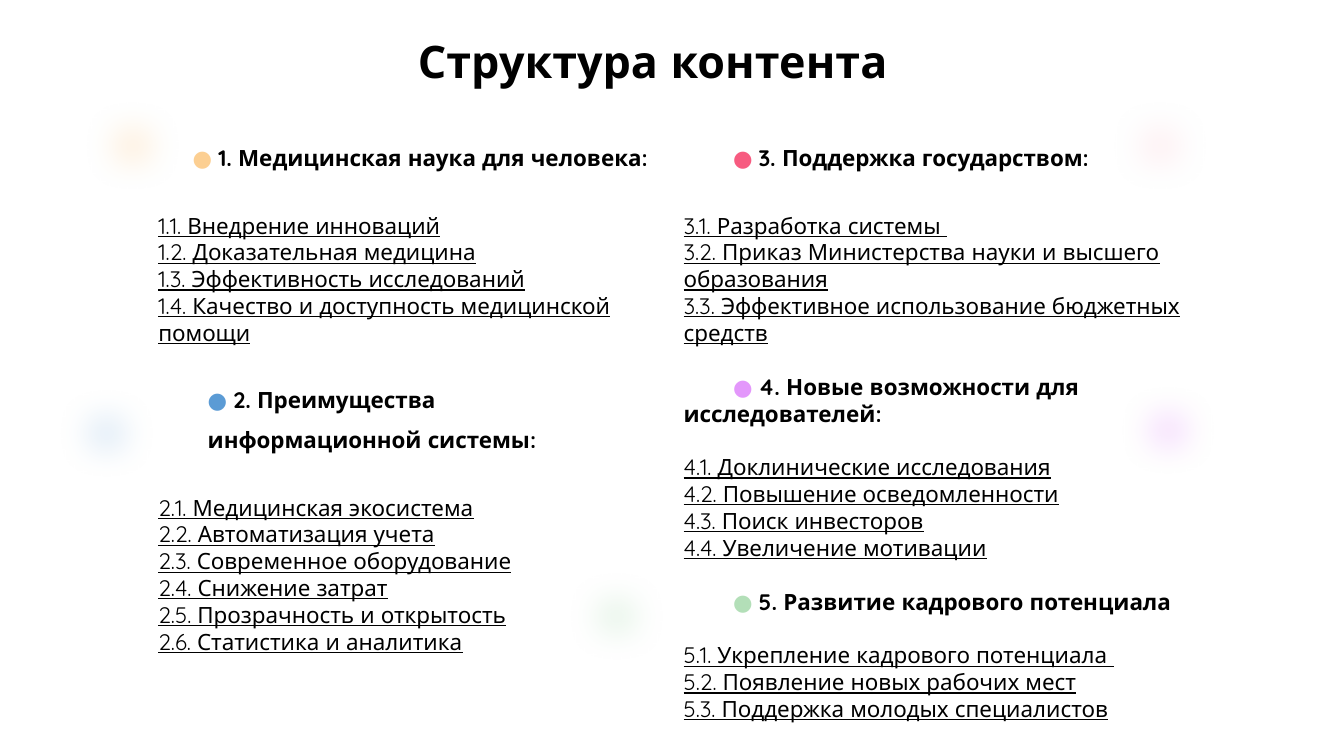
"""Builds the content structure slide with two columns of topics."""
from lxml.etree import SubElement as Sub
from pptx import Presentation
from pptx.dml.color import RGBColor
from pptx.enum.shapes import MSO_SHAPE as Shape
from pptx.enum.text import MSO_ANCHOR as Anchor, MSO_AUTO_SIZE as Auto, PP_ALIGN as Align
from pptx.oxml.ns import qn
from pptx.util import Inches, Pt

LINE = 19.2


def paint(fmt, tone):
    fmt.solid()
    fmt.fore_color.rgb = RGBColor.from_string(tone)


def write(para, text, tone="000000", size=16, bold=False, under=False):
    run = para.add_run()
    run.text = text
    font = run.font
    font.name, font.size = "Quicksand", Pt(size)
    font.bold, font.underline = bold, under
    paint(font.fill, tone)


deck = Presentation()
deck.slide_width, deck.slide_height = Inches(13.33), Inches(7.5)
slide = deck.slides.add_slide(deck.slide_layouts[3])
title, left, right = slide.placeholders

title.left, title.top = Inches(4), Inches(0.28)
title.width, title.height = Inches(4.95), Inches(0.64)
frame = title.text_frame
frame.word_wrap = False
frame.auto_size = Auto.NONE
frame.vertical_anchor = Anchor.TOP
head = frame.paragraphs[0]
head.alignment = Align.CENTER
write(head, "Структура контента", size=32, bold=True)

topics = [
    (left, "FCCF92", 1.5, 0, ["1. Медицинская наука для человека:"], [
        "1.1. Внедрение инноваций",
        "1.2. Доказательная медицина",
        "1.3. Эффективность исследований",
        "1.4. Качество и доступность медицинской помощи"]),
    (left, "5B9BD5", 1.5, 0.49, ["2. Преимущества", "информационной системы:"], [
        "2.1. Медицинская экосистема",
        "2.2. Автоматизация учета",
        "2.3. Современное оборудование",
        "2.4. Снижение затрат",
        "2.5. Прозрачность и открытость",
        "2.6. Статистика и аналитика"]),
    (right, "F75B80", 1.5, 0.49, ["3. Поддержка государством:"], [
        "3.1. Разработка системы ",
        "3.2. Приказ Министерства науки и высшего образования",
        "3.3. Эффективное использование бюджетных средств"]),
    (right, "E397FB", 1, 0.49, ["4. Новые возможности для исследователей:"], [
        "4.1. Доклинические исследования",
        "4.2. Повышение осведомленности",
        "4.3. Поиск инвесторов",
        "4.4. Увеличение мотивации"]),
    (right, "B3DFB8", 1, 0.49, ["5. Развитие кадрового потенциала"], [
        "5.1. Укрепление кадрового потенциала ",
        "5.2. Появление новых рабочих мест",
        "5.3. Поддержка молодых специалистов"]),
]

for box, x in (left, 1.47), (right, 6.68):
    box.left, box.top = Inches(x), Inches(1.25)
    box.width, box.height = Inches(5.4), Inches(6.1)
    box.text_frame.word_wrap = True
    box.text_frame.auto_size = Auto.NONE

for box, tone, space, dent, heads, items in topics:
    frame = box.text_frame
    for i, text in enumerate(heads + items):
        first = not frame.paragraphs[0].runs
        para = frame.paragraphs[0] if first else frame.add_paragraph()
        top = i < len(heads)
        props = para._p.get_or_add_pPr()
        props.set("marL", "0")
        props.set("indent", str(Inches(dent) if top else 0))
        Sub(props, qn("a:buNone"))
        para.line_spacing = float(space if top else 1)
        gap = 0
        if i == 0 and not first:
            gap = LINE
        elif i == len(heads):
            gap = LINE * space
        para.space_before = Pt(gap)
        para.alignment = Align.CENTER if top and not dent else Align.LEFT
        if i == 0:
            write(para, "● ", tone)
        write(para, text, bold=top, under=not top)

spots = [(10.84, 0.86, "FCCCD7"), (10.92, 3.68, "E397FB"), (0.65, 0.86, "FCCF92"),
         (0.39, 3.71, "9DC3E6"), (5.45, 5.53, "B3DFB8")]
for x, y, tone in spots:
    spot = slide.shapes.add_shape(Shape.OVAL, Inches(x), Inches(y), Inches(1.33), Inches(1.17))
    spot.shadow.inherit = False
    paint(spot.fill, tone)
    paint(spot.line.fill, "43739E")
    spot.line.width = Pt(1)
    props = spot._element.spPr
    shade = props.find(qn("a:solidFill")).find(qn("a:srgbClr"))
    Sub(shade, qn("a:alpha"), val="50000")
    Sub(props.find(qn("a:effectLst")), qn("a:softEdge"), rad=str(Pt(25)))

deck.save("out.pptx")
